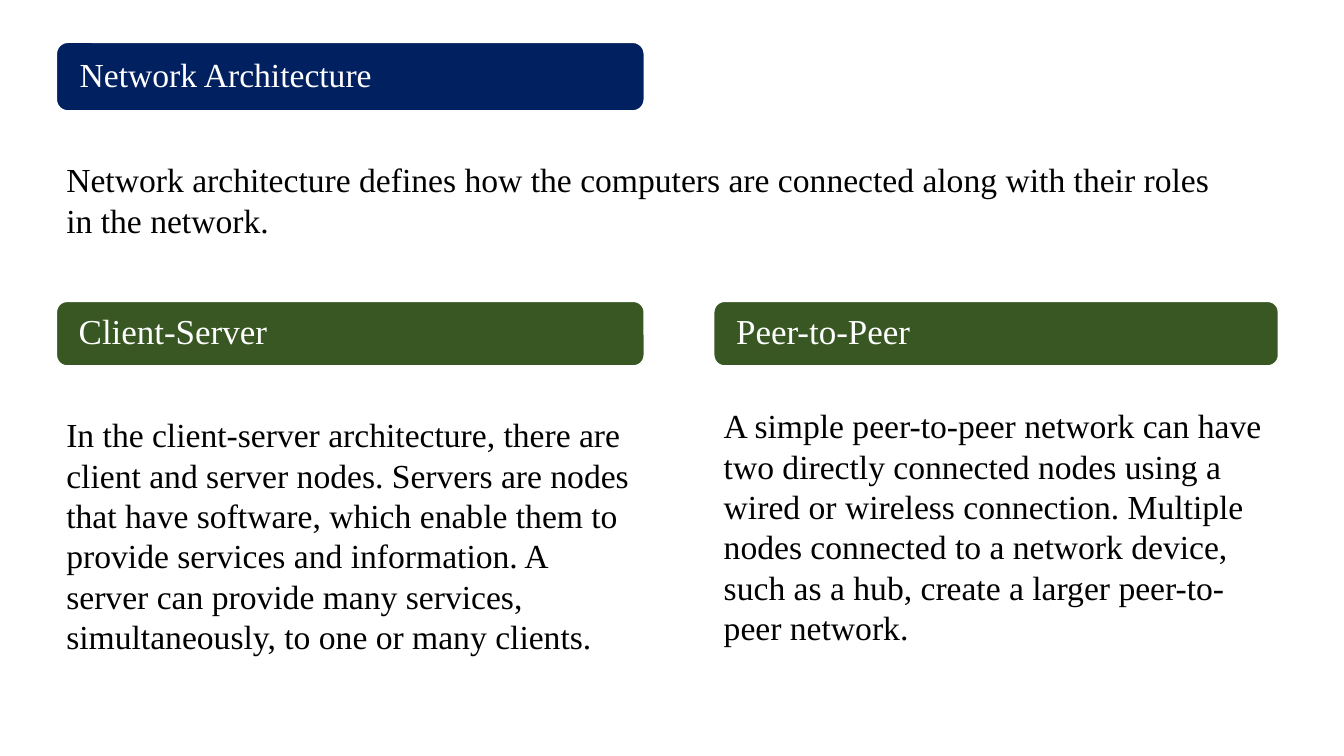
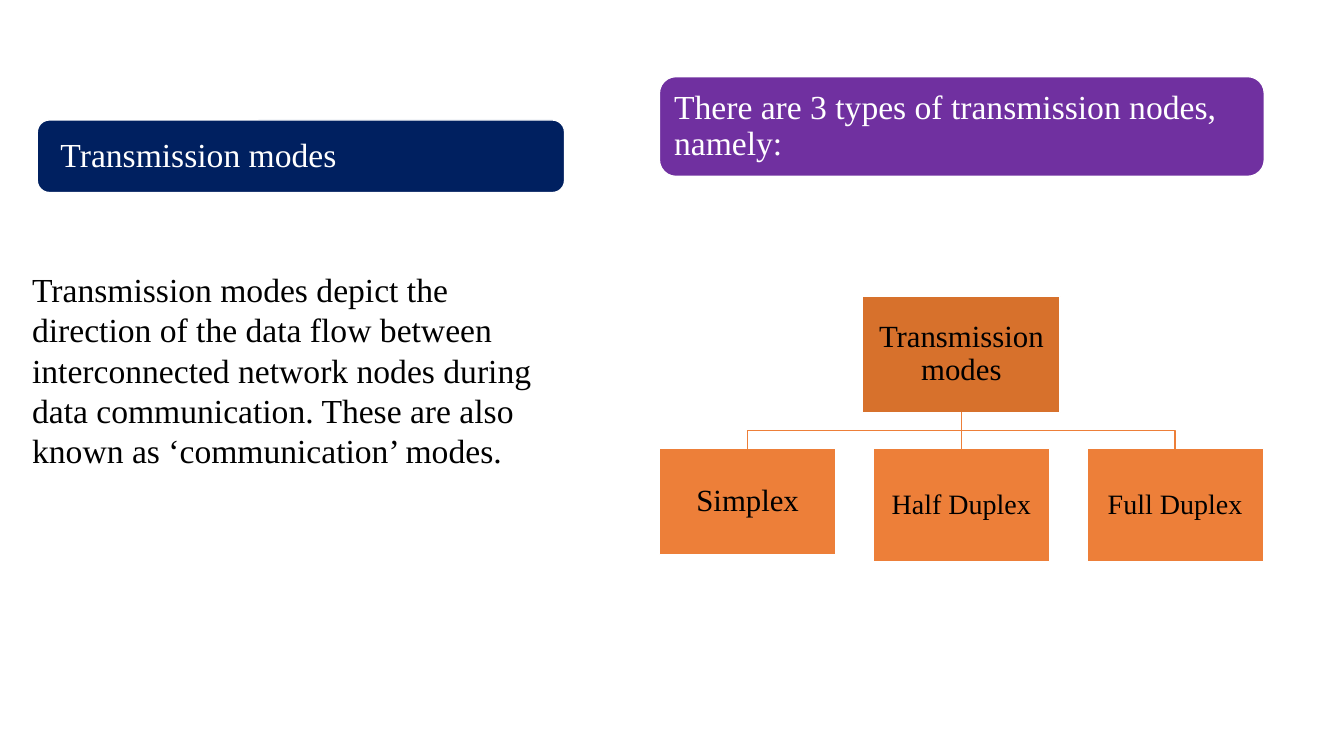
from lxml import etree
from pptx import Presentation
from pptx.dml.color import RGBColor
from pptx.enum.shapes import MSO_CONNECTOR, MSO_SHAPE
from pptx.enum.text import MSO_ANCHOR, MSO_AUTO_SIZE, PP_ALIGN
from pptx.oxml.ns import qn
from pptx.util import Inches, Pt

FONT = "Times New Roman"
COLORS = {
    "navy": "002060",
    "green": "385723",
    "purple": "7030A0",
    "root": "D7712C",
    "orange": "ED7F39",
    "white": "FFFFFF",
    "black": "000000",
}
BAND_INSET = 0.19
TITLE_INSET = 0.04

SLIDES = [
    {
        "title": ("Network Architecture", (0.56, 0.42, 5.83, 0.68)),
        "bands": [
            ("Client-Server", (0.56, 2.99, 5.83, 0.64), "green", 25, BAND_INSET),
            ("Peer-to-Peer", (7.08, 2.99, 5.6, 0.64), "green", 25, BAND_INSET),
        ],
        "texts": [
            ("Network architecture defines how the computers are connected along "
             "with their roles in the network.", (0.56, 1.53, 11.76, 0.91)),
            ("In the client-server architecture, there are client and server nodes. "
             "Servers are nodes that have software, which enable them to provide "
             "services and information. A server can provide many services, "
             "simultaneously, to one or many clients.", (0.56, 4.06, 5.83, 2.52)),
            ("A simple peer-to-peer network can have two directly connected nodes "
             "using a wired or wireless connection. Multiple nodes connected to a "
             "network device, such as a hub, create a larger peer-to-peer network.",
             (7.08, 3.97, 5.6, 2.52)),
        ],
    },
    {
        "title": ("Transmission modes", (0.37, 1.19, 5.23, 0.72)),
        "bands": [
            ("There are 3 types of transmission nodes, namely:",
             (6.54, 0.76, 6, 0.99), "purple", 24, 0.1),
        ],
        "texts": [
            ("Transmission modes depict the direction of the data flow between "
             "interconnected network nodes during data communication. These are also "
             "known as ‘communication’ modes.", (0.22, 2.62, 5.38, 2.12)),
        ],
        "tree": {
            "root": "Transmission modes",
            "children": [("Simplex", 1.05, 22), ("Half Duplex", 1.12, 20),
                         ("Full Duplex", 1.12, 20)],
        },
    },
]

TREE_LEFT, CHILD_TOP, CHILD_WIDTH, CHILD_STEP = 6.54, 4.45, 1.75, 2.12
ROOT_TOP, ROOT_WIDTH, ROOT_HEIGHT = 2.94, 1.96, 1.15


def rgb(name):
    return RGBColor.from_string(COLORS[name])


def write(shape, text, size=24, color="white", align=PP_ALIGN.LEFT,
          anchor=MSO_ANCHOR.MIDDLE, spacing=0.9, left=0.1, inset=0.1):
    frame = shape.text_frame
    frame.word_wrap = True
    frame.auto_size = MSO_AUTO_SIZE.NONE
    frame.vertical_anchor = anchor
    frame.margin_left = Inches(left)
    frame.margin_right = Inches(inset)
    frame.margin_top = frame.margin_bottom = Inches(min(inset, 0.05))
    frame.text = text
    paragraph = frame.paragraphs[0]
    paragraph.alignment = align
    paragraph.line_spacing = spacing
    paragraph.font.name = FONT
    paragraph.font.size = Pt(size)
    paragraph.font.bold = False
    paragraph.font.color.rgb = rgb(color)


def add_block(slide, kind, box, fill):
    shape = slide.shapes.add_shape(kind, *map(Inches, box))
    shape.shadow.inherit = False
    shape.fill.solid()
    shape.fill.fore_color.rgb = rgb(fill)
    shape.line.color.rgb = rgb("white")
    shape.line.width = Pt(1)
    return shape


def add_title(slide, text, box):
    add_block(slide, MSO_SHAPE.ROUNDED_RECTANGLE, box, "navy")
    left, top, width, height = box
    title = slide.shapes.title
    title.left, title.top = Inches(left + TITLE_INSET), Inches(top + TITLE_INSET)
    title.width = Inches(width - 2 * TITLE_INSET)
    title.height = Inches(height - 2 * TITLE_INSET)
    title.element.getparent().append(title.element)
    write(title, text, left=BAND_INSET)


def add_node(slide, text, box, fill, size):
    node = add_block(slide, MSO_SHAPE.RECTANGLE, box, fill)
    write(node, text, size=size, color="black", align=PP_ALIGN.CENTER,
          left=0.02, inset=0.02)
    return node


def style_line(shape):
    shape.line.color.rgb = rgb("orange")
    shape.line.width = Pt(1)


def add_tree(slide, root, children):
    nodes = [
        add_node(slide, text, (TREE_LEFT + i * CHILD_STEP, CHILD_TOP, CHILD_WIDTH, height),
                 "orange", size)
        for i, (text, height, size) in enumerate(children)
    ]
    centers = [node.left + node.width // 2 for node in nodes]
    middle = len(nodes) // 2
    root_left = centers[middle] / Inches(1) - ROOT_WIDTH / 2
    root_node = add_node(slide, root, (root_left, ROOT_TOP, ROOT_WIDTH, ROOT_HEIGHT),
                         "root", 22)
    root_bottom = root_node.top + root_node.height
    child_top = nodes[0].top
    branch_y = (root_bottom + child_top) // 2

    builder = slide.shapes.build_freeform(centers[0], child_top)
    builder.add_line_segments(
        [(centers[0], branch_y), (centers[-1], branch_y), (centers[-1], child_top)],
        close=False)
    branch = builder.convert_to_shape()
    branch.shadow.inherit = False
    branch.fill.background()
    style_line(branch)

    trunk = slide.shapes.add_connector(
        MSO_CONNECTOR.STRAIGHT, centers[middle], root_bottom, centers[middle], child_top)
    trunk.begin_connect(root_node, 2)
    trunk.end_connect(nodes[middle], 0)
    style_line(trunk)
    etree.SubElement(trunk.element.spPr, qn("a:effectLst"))


def main():
    presentation = Presentation()
    presentation.slide_width = Inches(13.33)
    presentation.slide_height = Inches(7.5)
    title_only = presentation.slide_layouts[5]
    for content in SLIDES:
        slide = presentation.slides.add_slide(title_only)
        add_title(slide, *content["title"])
        for text, box, fill, size, left in content["bands"]:
            band = add_block(slide, MSO_SHAPE.ROUNDED_RECTANGLE, box, fill)
            write(band, text, size=size, left=left)
        for text, box in content["texts"]:
            text_box = slide.shapes.add_textbox(*map(Inches, box))
            write(text_box, text, color="black", anchor=MSO_ANCHOR.TOP, spacing=1.0)
        if "tree" in content:
            add_tree(slide, **content["tree"])
    presentation.save("out.pptx")


if __name__ == "__main__":
    main()
